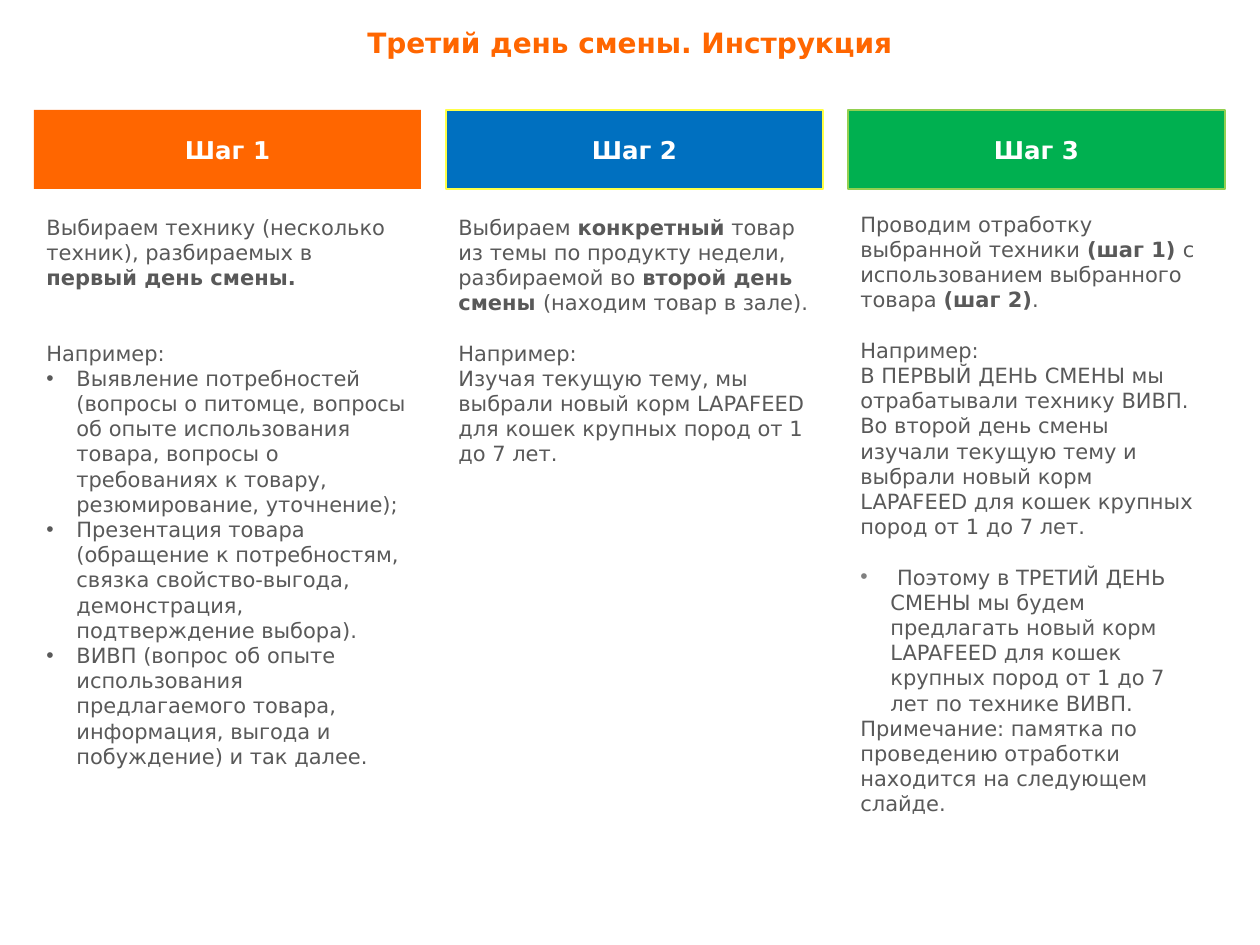
from pptx import Presentation
from pptx.dml.color import RGBColor
from pptx.enum.shapes import MSO_SHAPE
from pptx.enum.text import MSO_ANCHOR, PP_ALIGN
from pptx.oxml.ns import qn
from pptx.util import Emu, Pt
from lxml import etree

RECTANGLE = MSO_SHAPE.RECTANGLE
MIDDLE, TOP = MSO_ANCHOR.MIDDLE, MSO_ANCHOR.TOP
CENTER, LEFT = PP_ALIGN.CENTER, PP_ALIGN.LEFT

PX_PER_INCH = 126
FONT = "DejaVu Sans"
BODY_SIZE = 12
LINE_GAP = 14.4  # one text line, in points
BULLET_INDENT = 30
HEADER_TOP, HEADER_HEIGHT = 110, 79
COLORS = {
    "orange": "FF6600", "blue": "0070C0", "green": "00B050",
    "yellow": "FFFF47", "lime": "92D050",
    "white": "FFFFFF", "text": "595959", "gray": "808080",
}

# Paragraph: (spans, blank lines before, bullet colour); span: (text, bold)
STEPS = [
    {
        "title": "Шаг 1", "fill": "orange", "line": None,
        "left": 34, "width": 387, "body": (208, 387, 625),
        "paras": [
            ([("Выбираем технику (несколько техник), разбираемых в ", False),
              ("первый день смены.", True)], 0, None),
            ([("Например:", False)], 2, None),
            ([("Выявление потребностей (вопросы о питомце, вопросы об опыте "
               "использования товара, вопросы о требованиях к товару, "
               "резюмирование, уточнение);", False)], 0, "text"),
            ([("Презентация товара (обращение к потребностям, связка "
               "свойство-выгода, демонстрация, подтверждение выбора).",
               False)], 0, "text"),
            ([("ВИВП (вопрос об опыте использования предлагаемого товара, "
               "информация, выгода и побуждение) и так далее.", False)],
             0, "text"),
        ],
    },
    {
        "title": "Шаг 2", "fill": "blue", "line": "yellow",
        "left": 446, "width": 377, "body": (208, 377, 377),
        "paras": [
            ([("Выбираем ", False), ("конкретный", True),
              (" товар из темы по продукту недели, разбираемой во ", False),
              ("второй день смены ", True),
              ("(находим товар в зале).", False)], 0, None),
            ([("Например:", False)], 1, None),
            ([("Изучая текущую тему, мы выбрали новый корм LAPAFEED для "
               "кошек крупных пород от 1 до 7 лет.", False)], 0, None),
        ],
    },
    {
        "title": "Шаг 3", "fill": "green", "line": "lime",
        "left": 848, "width": 377, "body": (205, 367, 625),
        "paras": [
            ([("Проводим отработку выбранной техники ", False),
              ("(шаг 1) ", True),
              ("с использованием выбранного товара ", False),
              ("(шаг 2)", True), (".", False)], 0, None),
            ([("Например:", False)], 1, None),
            ([("В ПЕРВЫЙ ДЕНЬ СМЕНЫ мы отрабатывали технику ВИВП. Во второй "
               "день смены изучали текущую тему и выбрали новый корм LAPAFEED "
               "для кошек крупных пород от 1 до 7 лет.", False)], 0, None),
            ([(" Поэтому в ТРЕТИЙ ДЕНЬ СМЕНЫ мы будем предлагать новый корм "
               "LAPAFEED для кошек крупных пород от 1 до 7 лет по технике "
               "ВИВП.", False)], 1, "gray"),
            ([("Примечание: памятка по проведению отработки находится на "
               "следующем слайде.", False)], 0, None),
        ],
    },
]


def px(length):
    return Emu(round(length * 914400 / PX_PER_INCH))


def rgb(name):
    return RGBColor.from_string(COLORS[name])


def add_span(para, text, size, color, bold):
    span = para.add_run()
    span.text = text
    span.font.name = FONT
    span.font.size = Pt(size)
    span.font.bold = bold
    span.font.color.rgb = rgb(color)


def add_bullet(para, color):
    properties = para._p.get_or_add_pPr()
    properties.set("marL", str(px(BULLET_INDENT)))
    properties.set("indent", str(-px(BULLET_INDENT)))
    bullet_color = etree.SubElement(properties, qn("a:buClr"))
    etree.SubElement(bullet_color, qn("a:srgbClr"), val=COLORS[color])
    etree.SubElement(properties, qn("a:buFont"), typeface="Arial")
    etree.SubElement(properties, qn("a:buChar"), char="•")


def prepare_frame(shape, anchor):
    frame = shape.text_frame
    frame.word_wrap = True
    frame.vertical_anchor = anchor
    return frame


def add_title(page, left, top, width, height):
    box = page.shapes.add_textbox(px(left), px(top), px(width), px(height))
    para = prepare_frame(box, TOP).paragraphs[0]
    para.alignment = CENTER
    add_span(para, "Третий день смены. Инструкция", 16, "orange", True)


def add_header(page, step, left, top, width, height):
    header = page.shapes.add_shape(
        RECTANGLE, px(left), px(top), px(width), px(height))
    header.shadow.inherit = False
    header.fill.solid()
    header.fill.fore_color.rgb = rgb(step["fill"])
    if step["line"]:
        header.line.color.rgb = rgb(step["line"])
        header.line.width = Pt(0.75)
    else:
        header.line.fill.background()
    para = prepare_frame(header, MIDDLE).paragraphs[0]
    para.alignment = CENTER
    add_span(para, step["title"], 14, "white", True)


def add_body(page, paras, left, top, width, height):
    box = page.shapes.add_textbox(px(left), px(top), px(width), px(height))
    frame = prepare_frame(box, TOP)
    for index, (spans, blank_lines, bullet) in enumerate(paras):
        para = frame.add_paragraph() if index else frame.paragraphs[0]
        if bullet:
            add_bullet(para, bullet)
        para.alignment = LEFT
        if blank_lines:
            para.space_before = Pt(blank_lines * LINE_GAP)
        for text, bold in spans:
            add_span(para, text, BODY_SIZE, "text", bold)


def add_step(page, step):
    left = step["left"]
    add_header(page, step, left, HEADER_TOP, step["width"], HEADER_HEIGHT)
    add_body(page, step["paras"], left, *step["body"])


def main():
    deck = Presentation()
    deck.slide_width, deck.slide_height = px(1260), px(945)
    page = deck.slides.add_slide(deck.slide_layouts[6])

    # Title across the page
    add_title(page, 0, 19, 1260, 47)

    # Three step columns
    for step in STEPS:
        add_step(page, step)

    deck.save("out.pptx")


if __name__ == "__main__":
    main()
